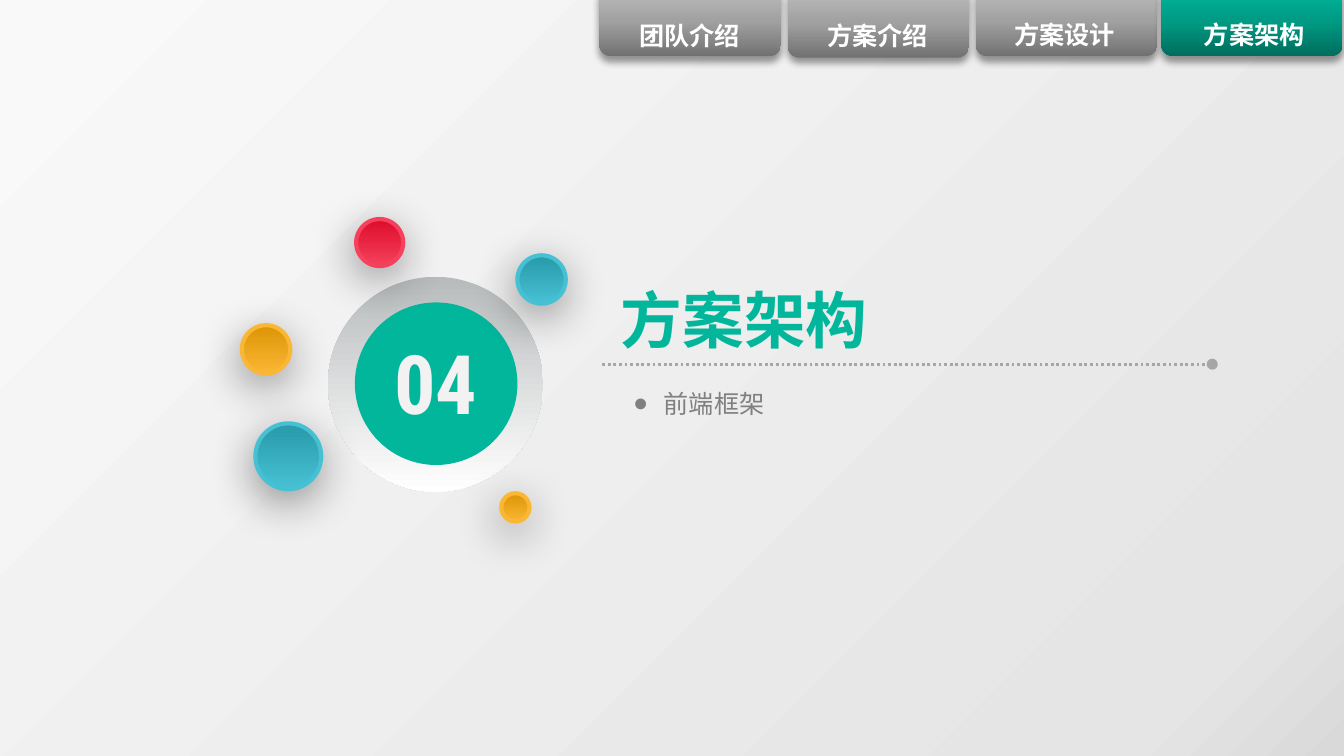
from lxml.etree import SubElement as Sub
from pptx import Presentation
from pptx.dml.color import RGBColor as RGB
from pptx.enum.dml import MSO_LINE
from pptx.enum.shapes import MSO_CONNECTOR as CONN, MSO_SHAPE as SHAPE
from pptx.enum.text import MSO_ANCHOR, PP_ALIGN
from pptx.oxml.ns import qn
from pptx.util import Inches, Pt

# Content
TABS = [  # label, left, top, text left, text top, gradient
    ("团队介绍", 4.46, -0.11, 4.66, 0.10, "gray"),
    ("方案介绍", 5.86, -0.10, 6.06, 0.10, "gray"),
    ("方案设计", 7.26, -0.11, 7.45, 0.09, "gray"),
    ("方案架构", 8.64, -0.11, 8.86, 0.09, "green"),
]
DOTS = [  # left, top, size, gradient
    (1.90, 3.15, 0.49, "blue"),
    (1.80, 2.42, 0.36, "gold"),
    (2.65, 1.63, 0.35, "red"),
    (3.85, 1.90, 0.36, "blue"),
    (3.73, 3.67, 0.21, "gold"),
]
NUMBER, TITLE, ITEM = "04", "方案架构", "前端框架"

# Style
WIDE = 10
HIGH = WIDE * 9 / 16
HAN, ROBOTO = "Noto Sans CJK SC", "Roboto Condensed"
COLORS = {"white": "FFFFFF", "teal": "02B69B", "pale": "F2F2F2",
          "text": "808080", "rule": "A6A6A6", "shade": "000000"}
GRADS = {
    "back": [(0, "D9D9D9"), (11, "E5E5E5"), (99, "F9F9F9")],
    "gray": [(0, "717171"), (50, "A1A1A1"), (100, "BFBFBF")],
    "green": [(0, "006D5D"), (50, "009B84"), (100, "00B89C")],
    "ring": [(0, "B8BBBC"), (100, "FFFFFF")],
    "blue": [(0, "289AAA"), (100, "46C1D3")],
    "gold": [(0, "DD9405"), (100, "FAB734")],
    "red": [(0, "DD0C2B"), (100, "F5415C")],
}

deck = Presentation()
deck.slide_width, deck.slide_height = Inches(WIDE), Inches(HIGH)
slide = deck.slides.add_slide(deck.slide_layouts[6])
shapes = slide.shapes


def color(name):
    return RGB.from_string(COLORS[name])


def add(kind, x, y, w, h, fill):
    shape = shapes.add_shape(kind, *map(Inches, (x, y, w, h)))
    shape.shadow.inherit = False
    shape.fill.solid()
    shape.fill.fore_color.rgb = color(fill)
    shape.line.fill.background()
    return shape


def blend(kind, x, y, w, h, grad, angle):
    shape = add(kind, x, y, w, h, "white")
    props = shape._element.spPr
    solid = props.find(qn("a:solidFill"))
    fill = Sub(props, qn("a:gradFill"), rotWithShape="1")
    stops = Sub(fill, qn("a:gsLst"))
    for pos, tone in GRADS[grad]:
        stop = Sub(stops, qn("a:gs"), pos=str(pos * 1000))
        Sub(stop, qn("a:srgbClr"), val=tone)
    Sub(fill, qn("a:lin"), ang=str(angle * 60000), scaled="0")
    props.replace(solid, fill)
    return shape


def shade(shape, blur, dist, angle):
    effects = shape._element.spPr.find(qn("a:effectLst"))
    outer = Sub(effects, qn("a:outerShdw"), blurRad=str(Pt(blur)),
                dist=str(Pt(dist)), dir=str(angle * 60000),
                algn="t", rotWithShape="0")
    tone = Sub(outer, qn("a:srgbClr"), val=COLORS["shade"])
    Sub(tone, qn("a:alpha"), val="40000")


def write(text, x, y, w, h, size, tone, font=HAN, bold=True,
          pad=(0.1, 0.05), wrap=False):
    frame = shapes.add_textbox(*map(Inches, (x, y, w, h))).text_frame
    frame.word_wrap = wrap
    frame.vertical_anchor = MSO_ANCHOR.MIDDLE
    frame.margin_left = frame.margin_right = Inches(pad[0])
    frame.margin_top = frame.margin_bottom = Inches(pad[1])
    para = frame.paragraphs[0]
    run = para.add_run()
    run.text = text
    run.font.size, run.font.bold = Pt(size), bold
    run.font.name, run.font.color.rgb = font, color(tone)
    Sub(run._r.get_or_add_rPr(), qn("a:ea"), typeface=font)
    return para


# Background
blend(SHAPE.RECTANGLE, 0, 0, WIDE, HIGH, "back", 225)

# Tabs
for label, x, y, tx, ty, grad in TABS:
    shade(blend(SHAPE.ROUNDED_RECTANGLE, x, y, 1.35, 0.53, grad, 270), 4, 3, 90)
for label, x, y, tx, ty, grad in TABS:
    write(label, tx, ty, 0.95, 0.33, 13.5, "white")

# Numbered disc
ring = blend(SHAPE.ROUNDED_RECTANGLE, 2.44, 2.06, 1.6, 1.6, "ring", 90)
ring.adjustments[0] = 0.5
add(SHAPE.OVAL, 2.64, 2.25, 1.21, 1.21, "teal")
para = write(NUMBER, 2.81, 2.56, 0.87, 0.69, 44, "pale", ROBOTO, wrap=True)
para.alignment, para.line_spacing = PP_ALIGN.CENTER, 0.8

# Dots around the disc, each rimmed in its lighter tone
for x, y, size, grad in DOTS:
    dot = blend(SHAPE.OVAL, x, y, size, size, grad, 90)
    dot.line.color.rgb = RGB.from_string(GRADS[grad][-1][1])
    dot.line.width = Pt(2.25)
    shade(dot, 24, 6, 100)

# Dotted rule
rule = shapes.add_connector(CONN.STRAIGHT, *map(Inches, (4.48, 2.71, 9.02, 2.71)))
rule.line.color.rgb = color("rule")
rule.line.width = Pt(1.5)
rule.line.dash_style = MSO_LINE.ROUND_DOT
Sub(rule.line._get_or_add_ln(), qn("a:tailEnd"), type="oval")
Sub(rule._element.spPr, qn("a:effectLst"))

# Title and bullet
write(TITLE, 4.55, 2.06, 1.98, 0.63, 33, "teal", pad=(0.07, 0.04))
para = write(ITEM, 4.64, 2.85, 1.13, 0.3, 13.5, "text", bold=False, pad=(0.07, 0.04))
props = para._p.get_or_add_pPr()
props.set("marL", str(Inches(0.23)))
props.set("indent", str(Inches(-0.23)))
Sub(props, qn("a:buFont"), typeface="Arial")
Sub(props, qn("a:buChar"), char="●")

deck.save("out.pptx")
